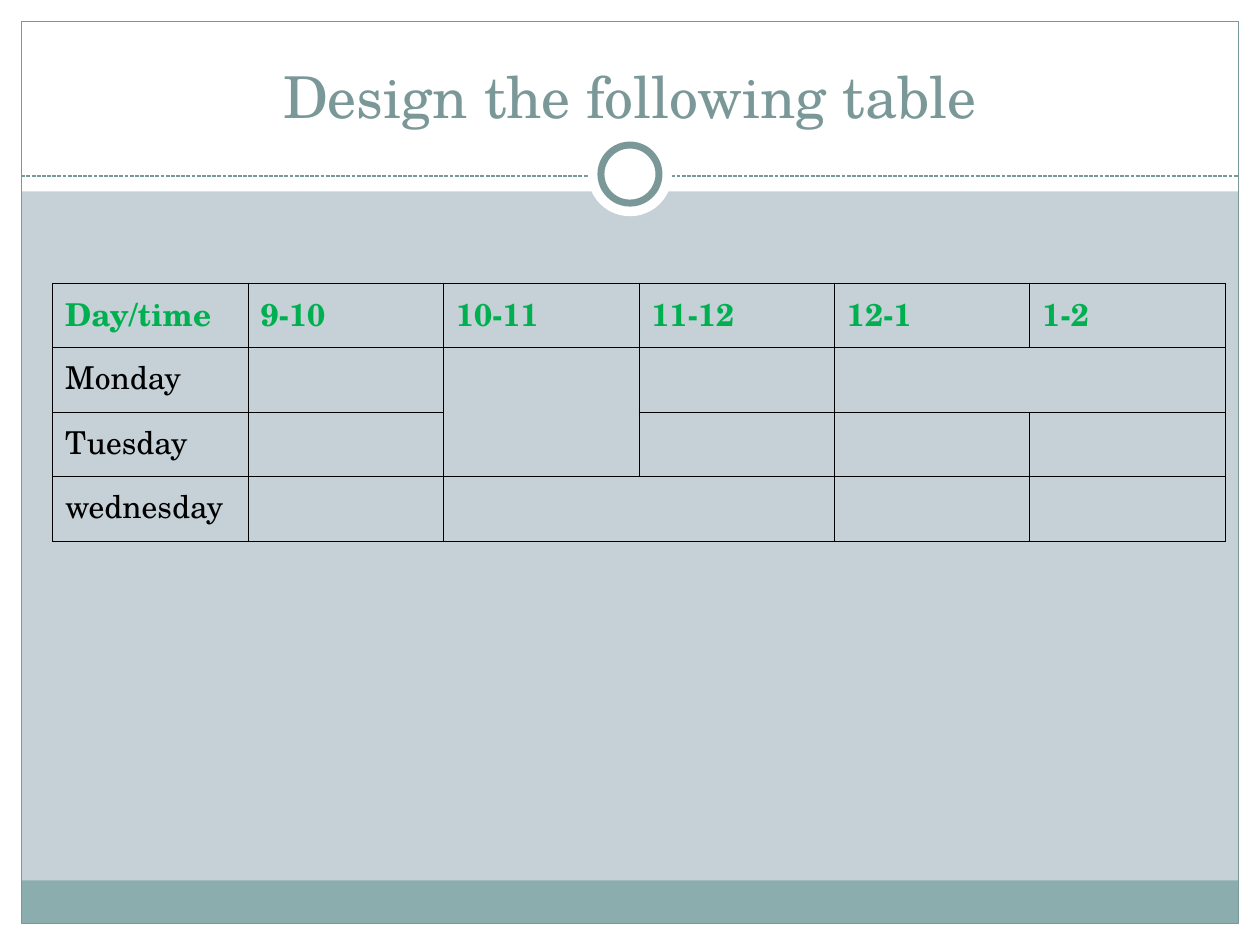
from lxml.etree import SubElement
from pptx import Presentation
from pptx.dml.color import RGBColor
from pptx.enum.dml import MSO_LINE
from pptx.enum.shapes import MSO_CONNECTOR, MSO_SHAPE
from pptx.enum.text import MSO_ANCHOR, PP_ALIGN
from pptx.oxml.ns import qn
from pptx.util import Cm, Pt

FONT = "TeX Gyre Schola"
COLORS = {"back": "C5D1D7", "white": "FFFFFF", "band": "8CADAE",
          "accent": "7B9899", "header": "00B050", "ink": "000000"}
WIDTH, HEIGHT = 25.4, 19.05
MARGIN = 0.43
INNER = WIDTH - 2 * MARGIN

TIMETABLE = [
    ["Day/time", "9-10", "10-11", "11-12", "12-1", "1-2"],
    ["Monday"],
    ["Tuesday"],
    ["wednesday"],
]
MERGES = [((1, 2), (2, 2)), ((1, 4), (1, 5)), ((3, 2), (3, 3))]


def rgb(name):
    return RGBColor.from_string(COLORS[name])


def write(tf, text, size=18, color="ink", bold=False, align=PP_ALIGN.LEFT):
    p = tf.paragraphs[0]
    p.alignment = align
    r = p.add_run()
    r.text = text
    r.font.name, r.font.size, r.font.bold = FONT, Pt(size), bold
    r.font.color.rgb = rgb(color)


def add_shape(s, kind, left, top, width, height, fill=None, line=None, weight=0.74):
    sp = s.shapes.add_shape(kind, Cm(left), Cm(top), Cm(width), Cm(height))
    sp.shadow.inherit = False
    if fill:
        sp.fill.solid()
        sp.fill.fore_color.rgb = rgb(fill)
    else:
        sp.fill.background()
    if line:
        sp.line.color.rgb = rgb(line)
        sp.line.width = Pt(weight)
    else:
        sp.line.fill.background()


def add_dashed_line(s, left, right, y):
    line = s.shapes.add_connector(MSO_CONNECTOR.STRAIGHT, Cm(left), Cm(y), Cm(right), Cm(y))
    line.line.color.rgb = rgb("accent")
    line.line.width = Pt(0.74)
    line.line.dash_style = MSO_LINE.SQUARE_DOT
    SubElement(line.element.spPr, qn("a:effectLst"))


def add_circle(s, center_y, size, **style):
    add_shape(s, MSO_SHAPE.OVAL, (WIDTH - size) / 2, center_y - size / 2, size, size, **style)


def add_frame(s):
    # White margins, wider at the top behind the title
    for box in [(0, HEIGHT - MARGIN, WIDTH, MARGIN), (0, 0, WIDTH, 3.86),
                (0, 0, MARGIN, HEIGHT), (WIDTH - MARGIN, 0, MARGIN, HEIGHT)]:
        add_shape(s, MSO_SHAPE.RECTANGLE, *box, fill="white")
    # Bottom band and outline
    add_shape(s, MSO_SHAPE.RECTANGLE, MARGIN, 17.75, INNER, 0.87, fill="band")
    add_shape(s, MSO_SHAPE.RECTANGLE, MARGIN, MARGIN, INNER, HEIGHT - 2 * MARGIN,
              line="accent")
    # Divider with ring
    add_dashed_line(s, MARGIN, WIDTH - MARGIN, 3.55)
    add_circle(s, 3.51, 1.7, fill="white")
    add_circle(s, 3.51, 1.17, fill="white", line="accent", weight=4)


def set_title(s, text):
    title = s.shapes.title
    title.left, title.top, title.width, title.height = Cm(0.85), Cm(0.64), Cm(23.7), Cm(2.1)
    title.text_frame.vertical_anchor = MSO_ANCHOR.BOTTOM
    write(title.text_frame, text, size=33, color="accent", align=PP_ALIGN.CENTER)
    # Bring the title in front of the white band
    title.element.getparent().append(title.element)


def set_borders(cell):
    tc_pr = cell._tc.get_or_add_tcPr()
    for index, side in enumerate(("lnL", "lnR", "lnT", "lnB")):
        ln = tc_pr.makeelement(qn(f"a:{side}"), {"w": str(Pt(0.45))})
        fill = SubElement(ln, qn("a:solidFill"))
        SubElement(fill, qn("a:srgbClr"), val=COLORS["ink"])
        tc_pr.insert(index, ln)


def add_timetable(s, left, top, col_width, row_height):
    rows, cols = len(TIMETABLE), len(TIMETABLE[0])
    table = s.shapes.add_table(rows, cols, Cm(left), Cm(top), Cm(cols * col_width),
                               Cm(rows * row_height)).table
    table.first_row = table.horz_banding = False
    for col in table.columns:
        col.width = Cm(col_width)
    for row in table.rows:
        row.height = Cm(row_height)
    for cell in table.iter_cells():
        cell.fill.background()
        set_borders(cell)
    for start, end in MERGES:
        table.cell(*start).merge(table.cell(*end))
    for i, labels in enumerate(TIMETABLE):
        for j, label in enumerate(labels):
            write(table.cell(i, j).text_frame, label, bold=i == 0,
                  color="ink" if i else "header")


def main():
    prs = Presentation()
    prs.slide_width, prs.slide_height = Cm(WIDTH), Cm(HEIGHT)
    s = prs.slides.add_slide(prs.slide_layouts[5])
    s.background.fill.solid()
    s.background.fill.fore_color.rgb = rgb("back")
    add_frame(s)
    set_title(s, "Design the following table")
    add_timetable(s, 1.06, 5.71, 3.94, 1.3)
    prs.save("out.pptx")


main()
